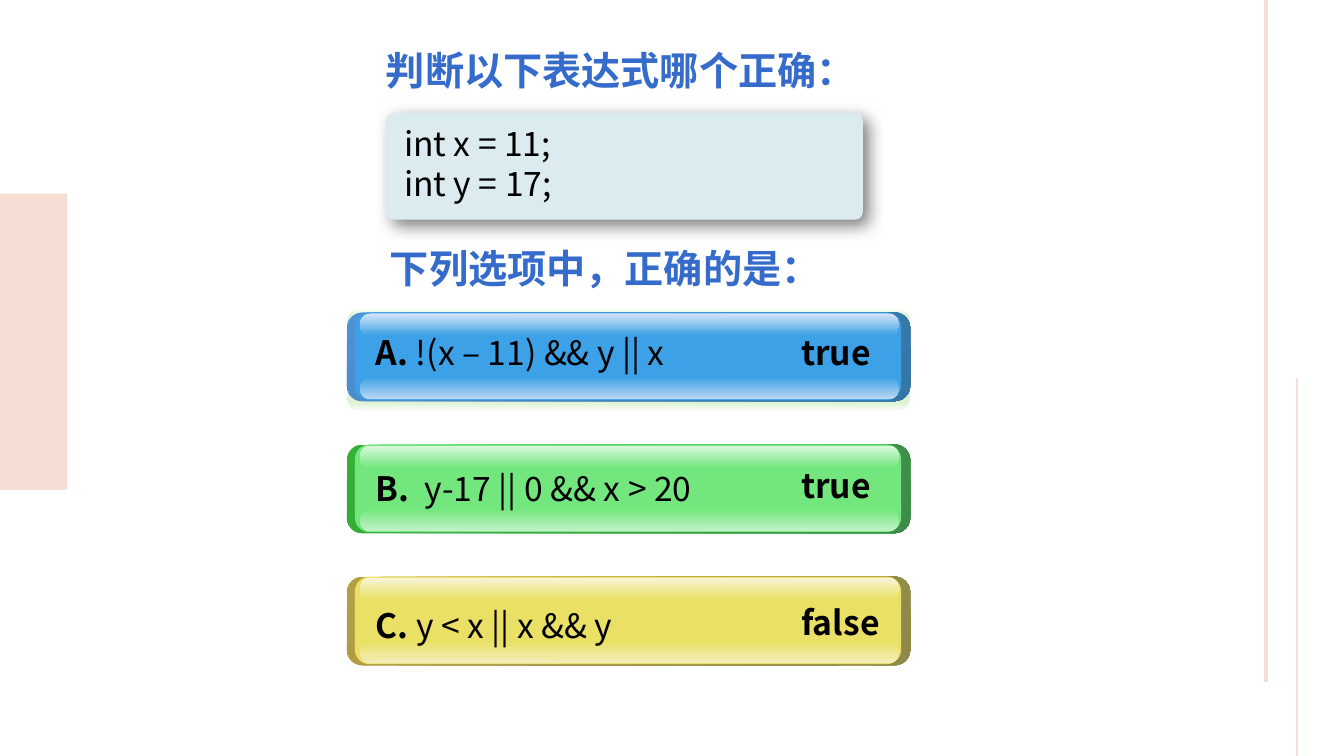
from dataclasses import dataclass

from lxml import etree
from pptx import Presentation
from pptx import util as u
from pptx.dml.color import RGBColor
from pptx.enum import shapes, text
from pptx.oxml.ns import qn

CELL = 0.1


@dataclass(frozen=True)
class Theme:
    """Colours and type sizes of the slide."""
    font: str = "Noto Sans CJK SC"
    head: int = 28
    body: int = 24
    ink: str = "000000"
    blue: str = "356BCA"
    pink: str = "F6DED4"
    card: str = "DCEBEF"
    white: str = "FFFFFF"
    glow: str = "6ECC4C"
    sky: tuple = ("4E91D4", "3477A4", "3CA1E6", "D7E5F7", "BDD6F3")
    leaf: tuple = ("34B034", "3F8B4A", "73E77E", "DDF7DF", "C3F2C7")
    gold: tuple = ("B59F43", "8F8849", "E9E065", "F8F5DB", "F3EEBB")


T = Theme()
RECT = shapes.MSO_SHAPE.RECTANGLE
ROUND = shapes.MSO_SHAPE.ROUNDED_RECTANGLE


def grid(*cells):
    """Turn grid columns and rows into lengths."""
    return [u.Inches(round(c * CELL, 3)) for c in cells]


def rgb(tone):
    """Make a colour from its hex code."""
    return RGBColor.from_string(tone)


def block(parent, kind, box, tones, adj=None, turn=90):
    """Add a shape filled with one tone or a gradient of two."""
    shape = parent.shapes.add_shape(kind, *grid(*box))
    shape.shadow.inherit = False
    shape.line.fill.background()
    if adj is not None:
        shape.adjustments[0] = adj
    if len(tones) == 1:
        shape.fill.solid()
        shape.fill.fore_color.rgb = rgb(tones[0])
    else:
        shape.fill.gradient()
        shape.fill.gradient_angle = 360 - turn
        for stop, tone in zip(shape.fill.gradient_stops, tones):
            stop.color.rgb = rgb(tone)
    return shape


def clear(shape, tone):
    """Make the gradient stops of one tone fully transparent."""
    for node in shape._element.spPr.iter(qn("a:srgbClr")):
        if node.get("val") == tone:
            etree.SubElement(node, qn("a:alpha"), val="0")


def shade(shape):
    """Give a shape a soft shadow to the lower right."""
    effects = shape._element.spPr.find(qn("a:effectLst"))
    drop = etree.SubElement(effects, qn("a:outerShdw"), blurRad=str(u.Pt(12)),
                            dist=str(u.Pt(6)), dir="2700000", algn="tl",
                            rotWithShape="0")
    tone = etree.SubElement(drop, qn("a:srgbClr"), val=T.ink)
    etree.SubElement(tone, qn("a:alpha"), val="50000")


def rule(slide, x, top, end, width):
    """Draw an upright line."""
    line = slide.shapes.add_connector(shapes.MSO_CONNECTOR.STRAIGHT,
                                      *grid(x, top, x, end))
    line.line.color.rgb = rgb(T.pink)
    line.line.width = u.Pt(width)
    etree.SubElement(line._element.spPr, qn("a:effectLst"))


def write(slide, box, lines, size, tone):
    """Write lines, each a list of words and their weight."""
    frame = slide.shapes.add_textbox(*grid(*box)).text_frame
    frame.word_wrap = True
    frame.vertical_anchor = text.MSO_ANCHOR.TOP
    for i, line in enumerate(lines):
        para = frame.add_paragraph() if i else frame.paragraphs[0]
        para.line_spacing = u.Pt(round(size * 1.2, 1))
        font = para.font
        font.size = u.Pt(size)
        font.color.rgb = rgb(tone)
        font.name = T.font
        etree.SubElement(font._element, qn("a:ea"), typeface=T.font)
        for words, bold in line:
            run = para.add_run()
            run.text = words
            run.font.bold = bold


def halo(slide, top):
    """Add the faint glow above and below a button."""
    for y, tones in ((top + 7.3, (T.glow, T.white)),
                     (top - 0.4, (T.white, T.glow))):
        clear(block(slide, ROUND, (34.5, y, 55.7, 2.4), tones, 0.5), T.glow)


def button(slide, top, tones):
    """Add a glossy button."""
    left, right, face, light, low = tones
    group = slide.shapes.add_group_shape()
    block(group, ROUND, (34.4, top, 55.9, 8.8), (left, right), 0.175, 45)
    block(group, ROUND, (35.2, top, 54.2, 8.7), (face,), 0.167)
    for y, pair in ((6.4, (face, low)), (0.1, (light, face))):
        block(group, ROUND, (35.7, top + y, 53.5, 2.2), pair, 0.5)


def option(slide, top, tones, words, value, drops):
    """Add a button with its expression and value."""
    button(slide, top, tones)
    mark, code = words
    write(slide, (36.3, top + drops[0], 42, 5),
          [[(mark, True), (code, False)]], T.body, T.ink)
    write(slide, (78.5, top + drops[1], 10.2, 5),
          [[(value, True)]], T.body, T.ink)


def main():
    """Build the slide and save it."""
    deck = Presentation()
    deck.slide_width, deck.slide_height = grid(133.33, 75)
    slide = deck.slides.add_slide(deck.slide_layouts[6])
    block(slide, RECT, (0, 19.2, 6.7, 29.4), (T.pink,))
    rule(slide, 125.6, 0, 67.7, 2.25)
    rule(slide, 128.7, 37.5, 75, 1.5)

    shade(block(slide, ROUND, (38.3, 11.2, 47.3, 10.6), (T.card,), 0.07))
    write(slide, (39.1, 11.7, 41.8, 9.1),
          [[("int x = 11;", False)], [("int y = 17;", False)]], T.body, T.ink)
    for left, top, words in ((37.3, 4.1, "判断以下表达式哪个正确："),
                             (37.7, 23.8, "下列选项中，正确的是：")):
        write(slide, (left, top, 51.5, 5.7), [[(words, True)]], T.head, T.blue)

    first, step = 31, 13.1
    halo(slide, first)
    options = (
        (T.sky, ("A. ", "!(x – 11) && y || x"), "true", (1.4, 1.4)),
        (T.leaf, ("B.  ", "y-17 || 0 && x > 20"), "true", (1.8, 1.5)),
        (T.gold, ("C. ", "y < x || x && y"), "false", (2.3, 2)),
    )
    for i, item in enumerate(options):
        option(slide, first + i * step, *item)
    deck.save("out.pptx")


if __name__ == "__main__":
    main()
